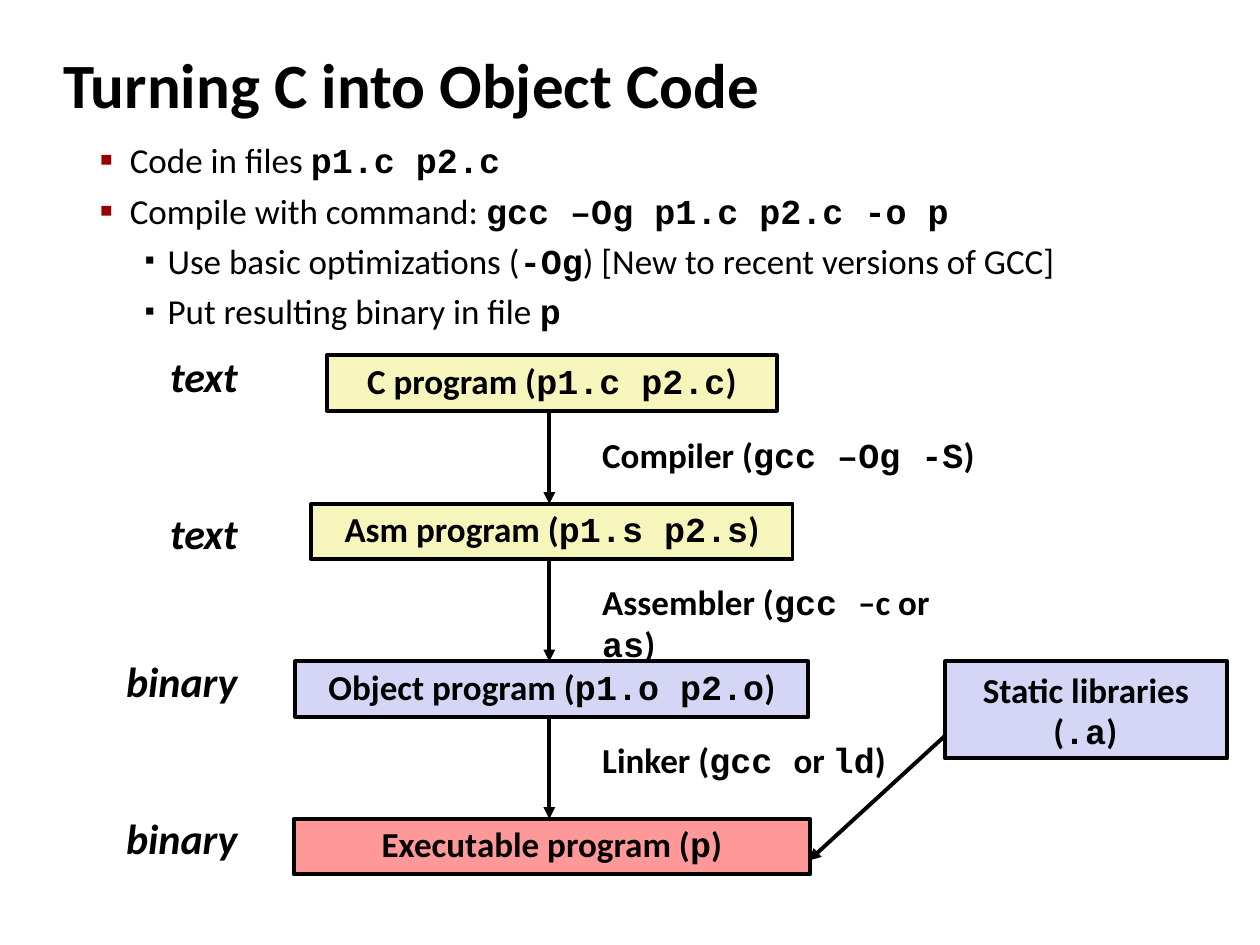
from lxml import etree
from pptx import Presentation
from pptx.dml.color import RGBColor
from pptx.enum.shapes import MSO_CONNECTOR, MSO_SHAPE
from pptx.enum.text import MSO_ANCHOR, MSO_AUTO_SIZE, PP_ALIGN
from pptx.oxml.ns import qn
from pptx.util import Inches, Pt

LEFT, MID = PP_ALIGN.LEFT, PP_ALIGN.CENTER
TOP, NONE = MSO_ANCHOR.TOP, MSO_AUTO_SIZE.NONE
RECT, LINE = MSO_SHAPE.RECTANGLE, MSO_CONNECTOR.STRAIGHT
SANS, MONO = "Calibri", "Courier New"
BLACK, RED = "000000", "990000"
CREAM, LILAC, ROSE = "F6F5BC", "D5D5F5", "FF9999"

TITLE = "Turning C into Object Code"
POINTS = [
    (0, "Code in files `p1.c p2.c`"),
    (0, "Compile with command: `gcc –Og p1.c p2.c -o p`"),
    (1, "Use basic optimizations (`-Og`) [New to recent versions of GCC]"),
    (1, "Put resulting binary in file `p`"),
]
LEVELS = [
    dict(indent=0.26, hang=0.24, size=110, color=RED),
    dict(indent=0.56, hang=0.18, size=80, color=BLACK),
]
STAGES = [
    ("C program (`p1.c p2.c`)", 2.82, 3.57, CREAM),
    ("Asm program (`p1.s p2.s`)", 4, 3.82, CREAM),
    ("Object program (`p1.o p2.o`)", 5.25, 4.07, LILAC),
    ("Executable program (`p`)", 6.5, 4.1, ROSE),
]
KINDS = [("text", 1.35, 2.76), ("text", 1.35, 4.01),
         ("binary", 1, 5.18), ("binary", 1, 6.43)]
TOOLS = [
    ("Compiler (`gcc –Og -S`)", 3.42),
    ("Assembler (`gcc `–c or `as`)", 4.59),
    ("Linker (`gcc `or `ld`)", 5.84),
]
LIBS = "Static libraries (`.a`)"
HIGH, AXIS, SHAFT = 0.44, 4.38, 4.36


def rgb(code):
    return RGBColor.from_string(code)


def write(para, text, size=20, bold=True, italic=False, align=LEFT):
    para.alignment = align
    for i, part in enumerate(text.split("`")):
        if part:
            run = para.add_run()
            run.text = part
            font = run.font
            font.name = MONO if i % 2 else SANS
            font.size = Pt(size)
            font.bold = bold or i % 2 == 1
            font.italic = italic
            font.color.rgb = rgb(BLACK)


def frame(shape, top=0.02):
    box = shape.text_frame
    box.auto_size = NONE
    box.word_wrap = True
    box.vertical_anchor = TOP
    box.margin_left = box.margin_right = box.margin_bottom = 0
    box.margin_top = Inches(top)
    return box


def place(shape, *spot):
    shape.left, shape.top, shape.width, shape.height = map(Inches, spot)


def indent(para, left, first):
    props = para._p.get_or_add_pPr()
    props.set("marL", str(Inches(left)))
    props.set("indent", str(Inches(first)))
    return props


def bullet(para, level):
    look = LEVELS[level]
    para.level = level
    props = indent(para, look["indent"], -look["hang"])
    tint = etree.SubElement(props, qn("a:buClr"))
    etree.SubElement(tint, qn("a:srgbClr"), val=look["color"])
    etree.SubElement(props, qn("a:buSzPct"), val=str(look["size"] * 1000))
    etree.SubElement(props, qn("a:buFont"), typeface=SANS)
    etree.SubElement(props, qn("a:buChar"), char="▪")


def label(slide, text, *spot, **style):
    box = slide.shapes.add_textbox(*map(Inches, spot))
    write(frame(box).paragraphs[0], text, **style)


def block(slide, text, fill, *spot, top=0.03, align=MID):
    shape = slide.shapes.add_shape(RECT, *map(Inches, spot))
    shape.shadow.inherit = False
    shape.fill.solid()
    shape.fill.fore_color.rgb = rgb(fill)
    shape.line.color.rgb = rgb(BLACK)
    shape.line.width = Pt(2.28)
    para = frame(shape, top).paragraphs[0]
    write(para, text, align=align)
    return para


def arrow(slide, *ends):
    link = slide.shapes.add_connector(LINE, *map(Inches, ends))
    link.line.color.rgb = rgb(BLACK)
    link.line.width = Pt(2.28)
    etree.SubElement(link.line._get_or_add_ln(), qn("a:tailEnd"), type="triangle")
    etree.SubElement(link._element.spPr, qn("a:effectLst"))


def main():
    deck = Presentation()
    deck.slide_width, deck.slide_height = Inches(10), Inches(7.5)
    slide = deck.slides.add_slide(deck.slide_layouts[1])

    title, body = slide.placeholders
    place(title, 0.5, 0.34, 5.59, 0.63)
    write(frame(title).paragraphs[0], TITLE, size=36)

    place(body, 0.77, 1.05, 7.64, 1.6)
    box = frame(body, 0.05)
    for i, (level, text) in enumerate(POINTS):
        para = box.add_paragraph() if i else box.paragraphs[0]
        bullet(para, level)
        para.space_before = Pt(4.8 if i else 0)
        write(para, text, bold=False)

    for text, left, top in KINDS:
        label(slide, text, left, top, 0.95, 0.43, size=24, italic=True)
    for text, top in TOOLS:
        label(slide, text, 4.78, top, 3, 0.36)

    for text, top, width, fill in STAGES:
        block(slide, text, fill, AXIS - width / 2, top, width, HIGH)
    for above, below in zip(STAGES, STAGES[1:]):
        arrow(slide, SHAFT, above[1] + HIGH, SHAFT, below[1])

    para = block(slide, LIBS, LILAC, 7.5, 5.25, 2.24, 0.77, top=0.07, align=LEFT)
    indent(para, 0.86, -0.56)
    para.line_spacing = Pt(23.2)
    arrow(slide, 7.5, 5.84, 6.42, 6.83)

    deck.save("out.pptx")


if __name__ == "__main__":
    main()
